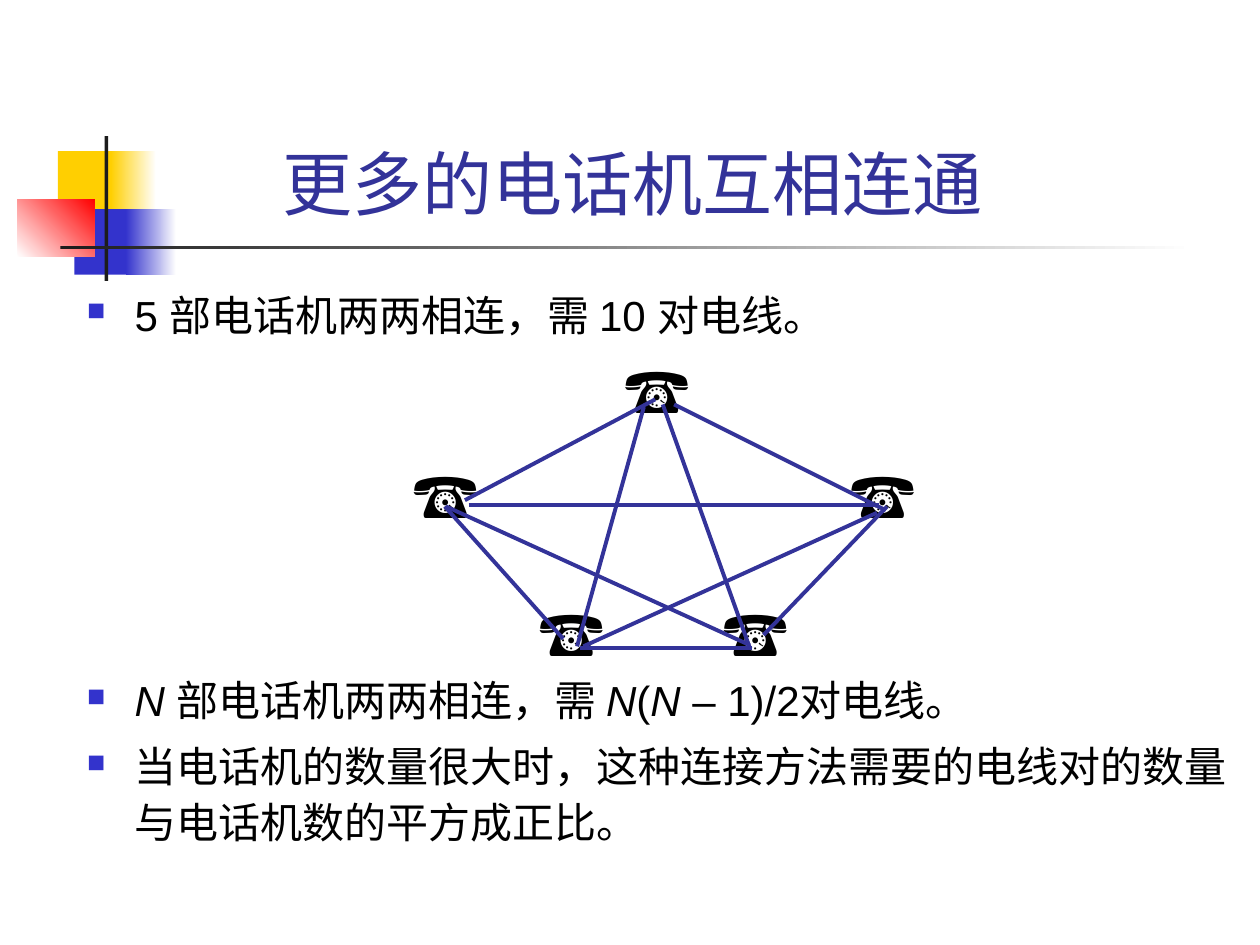
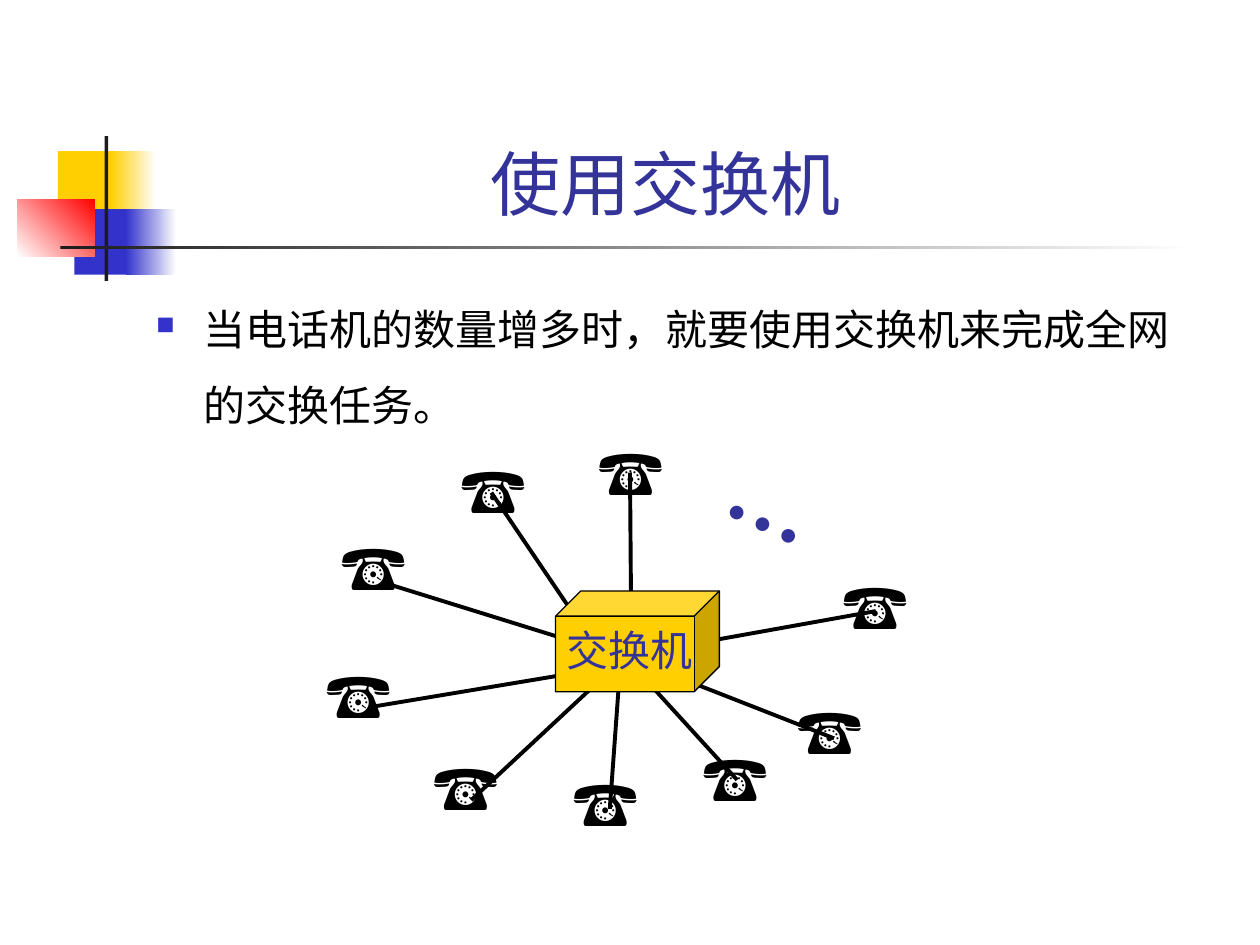
from dataclasses import dataclass

import lxml.etree
import pptx
import pptx.dml.color
import pptx.enum.shapes
import pptx.enum.text
import pptx.oxml.ns
import pptx.util

PX = 9144
RGB = pptx.dml.color.RGBColor.from_string
SHAPES = pptx.enum.shapes.MSO_SHAPE
FIT = pptx.enum.text.MSO_AUTO_SIZE
ALIGN = pptx.enum.text.PP_ALIGN
ANCHOR = pptx.enum.text.MSO_ANCHOR
qn = pptx.oxml.ns.qn


@dataclass(frozen=True)
class Theme:
    ink: str = "000000"
    navy: str = "333399"
    blue: str = "3333CC"
    yellow: str = "FFCF01"
    red: str = "FF0000"
    charcoal: str = "1C1C1C"
    white: str = "FFFFFF"
    font: str = "Arial"
    serif: str = "Times New Roman"
    title_size: int = 40
    body_size: int = 24
    phone_size: int = 36
    dots_size: int = 48
    wire_width: float = 2.25
    cube_width: float = 0.75


theme = Theme()


def write(paragraph, runs, size, color=theme.ink, name=theme.font, bold=False):
    for text, italic in runs:
        run = paragraph.add_run()
        run.text = text
        formats = {"size": pptx.util.Pt(size), "name": name, "bold": bold, "italic": italic}
        for key, value in formats.items():
            setattr(run.font, key, value)
        run.font.color.rgb = RGB(color)


def add_label(slide, box, text, size, color=theme.ink, name=theme.font, bold=False):
    label = slide.shapes.add_textbox(*(value * PX for value in box))
    label.text_frame.word_wrap = False
    label.text_frame.auto_size = FIT.SHAPE_TO_FIT_TEXT
    write(label.text_frame.paragraphs[0], [(text, False)], size, color, name, bold)
    return label


bands = [
    ((46, 120, 48, 52), [theme.yellow], 0),
    ((88, 120, 36, 52), [theme.yellow, theme.white], 0),
    ((59, 166, 46, 52), [theme.blue], 0),
    ((100, 166, 40, 52), [theme.blue, theme.white], 0),
    ((14, 158, 61, 46), [theme.white, theme.red], 45),
    ((83, 108, 3, 115), [theme.charcoal], 0),
    ((48, 195, 900, 3), [theme.charcoal, theme.white], 0),
]

pages = [
    {
        "title": "更多的电话机互相连通",
        "title_box": (98, 99, 808, 84),
        "body_box": (59, 221, 941, 485),
        "line_spacing": 1.1,
        "paragraphs": [
            (0, [("5 部电话机两两相连，需 10 对电线。", False)]),
            (188.5, [("N ", True), ("部电话机两两相连，需 ", False), ("N", True),
                     ("(", False), ("N", True), (" – 1)/2对电线。", False)]),
            (6, [("当电话机的数量很大时，这种连接方法需要的电线对的数量与电话机数的平方成正比。", False)]),
        ],
        "wire_color": theme.navy,
        "wires_on_top": True,
        "phones": [(486, 273), (318, 357), (418, 466), (665, 357), (564, 466)],
        "wires": [
            (369, 397, 520, 317), (535, 321, 703, 405), (353, 402, 447, 507),
            (460, 514, 597, 514), (606, 504, 704, 402), (526, 321, 595, 514),
            (511, 323, 458, 513), (372, 401, 698, 401), (354, 402, 595, 512),
            (463, 513, 696, 407),
        ],
    },
    {
        "title": "使用交换机",
        "title_box": (126, 23, 804, 160),
        "body_box": (114, 216, 850, 450),
        "line_spacing": 1.5,
        "paragraphs": [(0, [("当电话机的数量增多时，就要使用交换机来完成全网的交换任务。", False)])],
        "wire_color": theme.ink,
        "wires_on_top": False,
        "phones": [(465, 338), (261, 414), (334, 588), (659, 445), (548, 581),
                   (249, 515), (356, 353), (445, 601), (623, 544)],
        "wires": [
            (662, 586, 524, 532), (484, 642, 492, 532), (295, 561, 469, 532),
            (390, 391, 457, 490), (501, 501, 500, 375), (539, 513, 695, 485),
            (303, 462, 464, 512), (374, 635, 476, 540), (585, 619, 492, 517),
        ],
    },
]

presentation = pptx.Presentation()
presentation.slide_width = 1000 * PX
presentation.slide_height = 750 * PX
layout = presentation.slide_layouts[5]
slides = [presentation.slides.add_slide(layout) for page in pages]

for number, (box, colors, angle) in enumerate(bands, start=101):
    band = slides[0].shapes.add_shape(SHAPES.RECTANGLE, *(value * PX for value in box))
    band.shadow.inherit = False
    band.line.fill.background()
    if len(colors) == 1:
        band.fill.solid()
        band.fill.fore_color.rgb = RGB(colors[0])
    else:
        band.fill.gradient()
        band.fill.gradient_angle = angle
        for stop, color in zip(band.fill.gradient_stops, colors):
            stop.color.rgb = RGB(color)
    band._element.nvSpPr.cNvPr.set("id", str(number))
    layout.shapes._spTree.append(band._element)

for slide, page in zip(slides, pages):
    title = slide.shapes.title
    for key, value in zip(("left", "top", "width", "height"), page["title_box"]):
        setattr(title, key, value * PX)
    frame_formats = {"vertical_anchor": ANCHOR.BOTTOM, "auto_size": FIT.NONE, "word_wrap": True}
    for key, value in frame_formats.items():
        setattr(title.text_frame, key, value)
    heading = title.text_frame.paragraphs[0]
    heading.alignment = ALIGN.CENTER
    write(heading, [(page["title"], False)], theme.title_size, theme.navy)

    body = slide.shapes.add_textbox(*(value * PX for value in page["body_box"]))
    body.text_frame.word_wrap = True
    for index, (space, runs) in enumerate(page["paragraphs"]):
        paragraph = body.text_frame.add_paragraph() if index else body.text_frame.paragraphs[0]
        properties = paragraph._p.get_or_add_pPr()
        properties.set("marL", str(38 * PX))
        properties.set("indent", str(-38 * PX))
        bullet_color = lxml.etree.SubElement(properties, qn("a:buClr"))
        lxml.etree.SubElement(bullet_color, qn("a:srgbClr"), val=theme.blue)
        lxml.etree.SubElement(properties, qn("a:buSzPct"), val="60000")
        lxml.etree.SubElement(properties, qn("a:buChar"), char="■")
        paragraph.line_spacing = page["line_spacing"]
        paragraph.space_before = pptx.util.Pt(space)
        write(paragraph, runs, theme.body_size)

    if page["wires_on_top"]:
        for left, top in page["phones"]:
            add_label(slide, (left, top, 85, 70), "☎", theme.phone_size)
    for ends in page["wires"]:
        wire = slide.shapes.add_connector(
            pptx.enum.shapes.MSO_CONNECTOR.STRAIGHT, *(value * PX for value in ends))
        wire.line.color.rgb = RGB(page["wire_color"])
        wire.line.width = pptx.util.Pt(theme.wire_width)
        lxml.etree.SubElement(wire._element.spPr, qn("a:effectLst"))
    if not page["wires_on_top"]:
        for left, top in page["phones"]:
            add_label(slide, (left, top, 85, 70), "☎", theme.phone_size)

switch_slide = slides[1]
dots = add_label(switch_slide, (571, 351, 86, 90), "…", theme.dots_size,
                 theme.navy, theme.serif, True)
dots.rotation = 24.3

switch = switch_slide.shapes.add_shape(
    SHAPES.CUBE, *(value * PX for value in (441, 469, 130, 80)))
switch.shadow.inherit = False
switch.adjustments[0] = 0.25
switch.fill.solid()
switch.fill.fore_color.rgb = RGB(theme.yellow)
switch.line.color.rgb = RGB(theme.ink)
switch.line.width = pptx.util.Pt(theme.cube_width)
add_label(switch_slide, (440, 491, 120, 50), "交换机", theme.body_size, theme.navy, theme.serif)

presentation.save("out.pptx")
